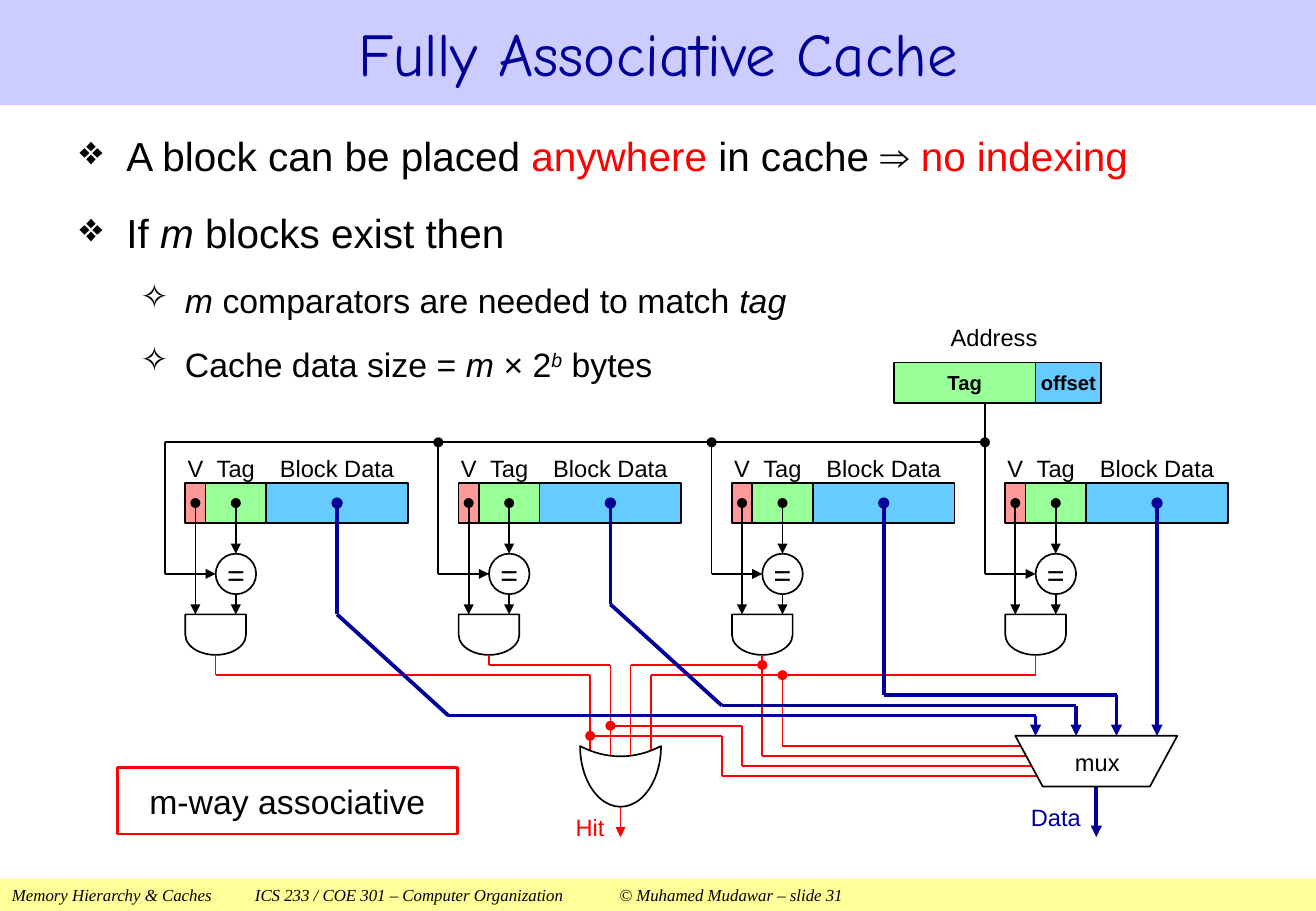
import pptx
import pptx.util
import pptx.dml.color
import pptx.enum.shapes
import pptx.enum.text
import pptx.oxml
import pptx.oxml.ns

PX = 7620
SHAPE = pptx.enum.shapes.MSO_SHAPE
ALIGN = pptx.enum.text.PP_ALIGN
MIDDLE = pptx.enum.text.MSO_ANCHOR.MIDDLE
C = {
    "black": "000000", "white": "FFFFFF", "red": "FF0000", "navy": "000099",
    "lilac": "CCCCFF", "yellow": "FFFF99", "green": "99FF99",
    "sky": "66CCFF", "pink": "FF9999",
}
TITLE = "Fully Associative Cache"
FOOTER = "Memory Hierarchy & Caches\tICS 233 / COE 301 – Computer Organization\t© Muhamed Mudawar – slide 31"
FOOTER_TABS = [240, 600]
BULLETS = [
    (0, [("A block can be placed ", ""), ("anywhere", "red"), (" in cache ⇒ ", ""), ("no indexing", "red")]),
    (0, [("If ", ""), ("m", "italic"), (" blocks exist then", "")]),
    (1, [("m", "italic"), (" comparators are needed to match ", ""), ("tag", "italic")]),
    (1, [("Cache data size = ", ""), ("m ", "italic"), ("× 2", ""), ("b", "super"), (" bytes", "")]),
]
LEVELS = [("❖", 46, 46, 24, 11), ("✧", 104, 44, 20, 9)]
FIELDS = [("V", 20, 20, "pink"), ("Tag", 40, 60, "green"), ("Block Data", 100, 140, "sky")]
WAY_X, WAY_PITCH, WAYS = 163, 270, 4
BUS_Y, ROW_Y, ROW_H = 437, 477, 40
DOT_Y, COMP_Y, GATE_Y = 497, 547, 607
HIT_WIRES = [
    ([(213, 647), (213, 667), (583, 667), (583, 747)], False, False),
    ([(483, 647), (483, 657), (603, 657), (603, 747)], False, False),
    ([(753, 657), (623, 657), (623, 747)], True, False),
    ([(1023, 647), (1023, 667), (643, 667), (643, 747)], False, False),
    ([(773, 667), (773, 737), (1013, 737)], True, False),
    ([(753, 647), (753, 747), (1023, 747)], False, False),
    ([(603, 717), (733, 717), (733, 757), (1033, 757)], True, False),
    ([(583, 727), (713, 727), (713, 767), (1033, 767)], True, False),
    ([(613, 797), (613, 827)], False, True),
]
DATA_WIRES = [
    ([(333, DOT_Y), (333, 607), (443, 707), (1023, 707), (1023, 727)], True, True),
    ([(603, DOT_Y), (603, 597), (713, 697), (1063, 697), (1063, 727)], True, True),
    ([(873, DOT_Y), (873, 687), (1103, 687), (1103, 727)], True, True),
    ([(1143, DOT_Y), (1143, 727)], True, True),
    ([(1083, 777), (1083, 827)], False, True),
]
MUX = [(1003, 727), (1030, 777), (1136, 777), (1163, 727)]
LABELS = [
    ("Address", 883, 318, 198, 31, "black"),
    ("Data", 1013, 787, 60, 40, "navy"),
    ("Hit", 553, 797, 60, 40, "red"),
    ("mux", 1009, 729, 150, 48, "black"),
]

prs = pptx.Presentation()
prs.slide_width, prs.slide_height = 1300 * PX, 900 * PX
s = prs.slides.add_slide(prs.slide_layouts[5])


def rgb(name):
    return pptx.dml.color.RGBColor.from_string(C[name])


def set_font(font, size, color="black", name="Arial", bold=False, italic=False):
    font.size, font.name = pptx.util.Pt(size), name
    font.bold, font.italic = bold, italic
    font.color.rgb = rgb(color)


def paint(sp, fill, line="black", width=1):
    sp.shadow.inherit = False
    if fill:
        sp.fill.solid()
        sp.fill.fore_color.rgb = rgb(fill)
    else:
        sp.fill.background()
    if line:
        sp.line.color.rgb = rgb(line)
        sp.line.width = pptx.util.Pt(width)
    else:
        sp.line.fill.background()


def shape(kind, x, y, w, h, fill, line="black", width=1):
    sp = s.shapes.add_shape(kind, x * PX, y * PX, w * PX, h * PX)
    paint(sp, fill, line, width)
    return sp


def write(sp, text, size, color="black", bold=False):
    tf = sp.text_frame
    tf.word_wrap = True
    tf.vertical_anchor = MIDDLE
    tf.margin_left = tf.margin_right = tf.margin_top = tf.margin_bottom = 0
    p = tf.paragraphs[0]
    p.text, p.alignment = text, ALIGN.CENTER
    set_font(p.font, size, color, bold=bold)


def label(text, x, y, w, h, color="black", size=14):
    write(s.shapes.add_textbox(x * PX, y * PX, w * PX, h * PX), text, size, color)


def add_xml(parent, tag, **attrs):
    el = pptx.oxml.parse_xml(f"<a:{tag} {pptx.oxml.ns.nsdecls('a')}/>")
    for key, value in attrs.items():
        el.set(key, str(value))
    parent.append(el)
    return el


def wire(points, head=False, tail=False, color="black", width=1):
    last = len(points) - 2
    for i, (a, b) in enumerate(zip(points, points[1:])):
        cn = s.shapes.add_connector(pptx.enum.shapes.MSO_CONNECTOR.STRAIGHT,
                                    *(v * PX for v in a + b))
        cn.line.color.rgb = rgb(color)
        cn.line.width = pptx.util.Pt(width)
        ln = cn.line._get_or_add_ln()
        if head and i == 0:
            add_xml(ln, "headEnd", type="oval")
        if tail and i == last:
            add_xml(ln, "tailEnd", type="triangle")
        add_xml(cn._element.spPr, "effectLst")


def draw_way(i):
    x = WAY_X + i * WAY_PITCH
    for name, dx, w, fill in reversed(FIELDS):
        shape(SHAPE.RECTANGLE, x + dx, ROW_Y, w, ROW_H, fill)
        label(name, x + dx, BUS_Y, w, 50)
    gate = shape(SHAPE.FLOWCHART_DELAY, x + 30, GATE_Y - 10, 40, 60, "white")
    gate.rotation = 90
    write(shape(SHAPE.OVAL, x + 50, COMP_Y, 40, 40, "white"), "=", 18)
    wire([(x + 70, DOT_Y), (x + 70, COMP_Y)], True, True)
    wire([(x + 70, COMP_Y + 40), (x + 70, GATE_Y)], tail=True)
    wire([(x + 30, DOT_Y), (x + 30, GATE_Y)], True, True)
    wire([(x + 40, GATE_Y), (x + 30, GATE_Y)])
    wire([(x, BUS_Y), (x, COMP_Y + 20), (x + 50, COMP_Y + 20)], i > 0, True)


footer = shape(SHAPE.RECTANGLE, 0, 868, 1300, 32, "yellow", None)
footer.text_frame.vertical_anchor = MIDDLE
p = footer.text_frame.paragraphs[0]
p.text, p.alignment = FOOTER, ALIGN.LEFT
tabs = add_xml(p._p.get_or_add_pPr(), "tabLst")
for pos in FOOTER_TABS:
    add_xml(tabs, "tab", pos=pos * PX, algn="l")
set_font(p.font, 10, name="Times New Roman", italic=True)

title = s.shapes.title
title.left, title.top, title.width, title.height = 0, 0, 1300 * PX, 104 * PX
title.fill.solid()
title.fill.fore_color.rgb = rgb("lilac")
title.text_frame.vertical_anchor = MIDDLE
p = title.text_frame.paragraphs[0]
p.text, p.alignment = TITLE, ALIGN.CENTER
set_font(p.font, 36, "navy", "Comic Neue")

tf = s.shapes.add_textbox(67 * PX, 114 * PX, 1164 * PX, 278 * PX).text_frame
tf.word_wrap = True
for i, (level, runs) in enumerate(BULLETS):
    p = tf.add_paragraph() if i else tf.paragraphs[0]
    mark, margin, hang, size, before = LEVELS[level]
    p.level, p.line_spacing = level, 1.2
    p.space_before = pptx.util.Pt(before if i else 0)
    pPr = p._p.get_or_add_pPr()
    pPr.set("marL", str(margin * PX))
    pPr.set("indent", str(-hang * PX))
    add_xml(pPr, "buChar", char=mark)
    for text, style in runs:
        r = p.add_run()
        r.text = text
        set_font(r.font, size, "red" if style == "red" else "black",
                 italic=style in ("italic", "super"))
        if style == "super":
            r.font._element.set("baseline", "30000")

write(shape(SHAPE.RECTANGLE, 116, 758, 336, 66, None, "red", 1.5), "m-way associative", 20)
write(shape(SHAPE.RECTANGLE, 883, 358, 140, 40, "green"), "Tag", 12, bold=True)
write(shape(SHAPE.RECTANGLE, 1023, 358, 65, 40, "sky"), "offset", 12, bold=True)

for i in range(WAYS):
    draw_way(i)
bus_end = WAY_X + (WAYS - 1) * WAY_PITCH
wire([(bus_end, 398), (bus_end, BUS_Y)])
wire([(bus_end, BUS_Y), (WAY_X, BUS_Y)])
for points, head, tail in HIT_WIRES:
    wire(points, head, tail, "red")
for points, head, tail in DATA_WIRES:
    wire(points, head, tail, "navy", 2.25)

or_gate = shape(SHAPE.MOON, 583, 727, 60, 80, "white")
or_gate.adjustments[0] = 0.83
or_gate.rotation = 270
outline = s.shapes.build_freeform(*MUX[0], scale=PX)
outline.add_line_segments(MUX[1:], close=True)
paint(outline.convert_to_shape(), "white")
for item in LABELS:
    label(*item)

prs.save("out.pptx")
